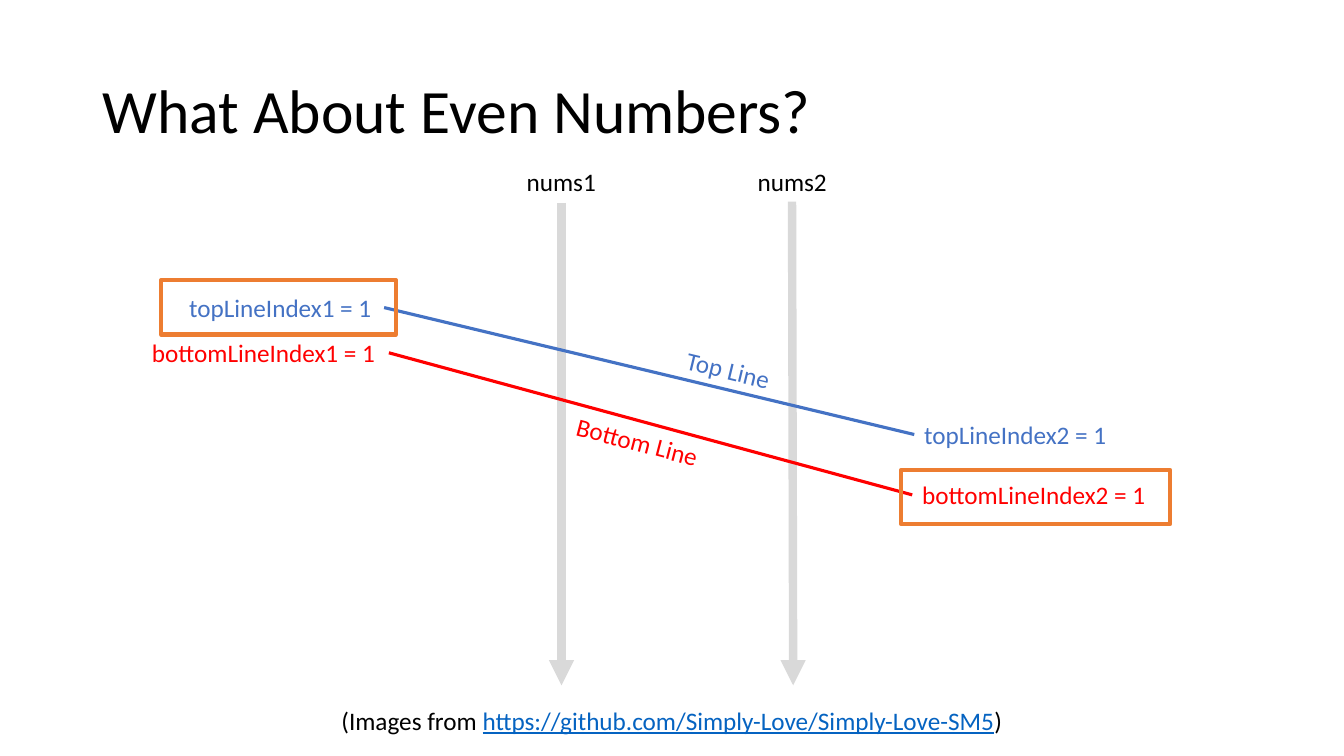
from lxml.etree import SubElement
from pptx import Presentation
from pptx.dml.color import RGBColor
from pptx.enum.shapes import MSO_CONNECTOR, MSO_SHAPE
from pptx.enum.text import MSO_ANCHOR, PP_ALIGN
from pptx.oxml.ns import qn
from pptx.util import Cm, Pt

BLACK = RGBColor(0x00, 0x00, 0x00)
GREY = RGBColor(0xD9, 0xD9, 0xD9)
BLUE = RGBColor(0x44, 0x72, 0xC4)
RED = RGBColor(0xFF, 0x00, 0x00)
ORANGE = RGBColor(0xED, 0x7D, 0x31)
LINK_BLUE = RGBColor(0x05, 0x63, 0xC1)

deck = Presentation()
deck.slide_width = Cm(33.87)
deck.slide_height = Cm(19.05)
page = deck.slides.add_slide(deck.slide_layouts[6])


def add_text(text, left, top, width, height=1.02, size=18, color=BLACK,
             align=PP_ALIGN.LEFT, anchor=MSO_ANCHOR.TOP, wrap=False,
             rotation=0, spacing=1.0, link=""):
    box = page.shapes.add_textbox(Cm(left), Cm(top), Cm(width), Cm(height))
    box.rotation = rotation
    frame = box.text_frame
    frame.word_wrap = wrap
    frame.vertical_anchor = anchor
    para = frame.paragraphs[0]
    para.alignment = align
    para.line_spacing = spacing
    parts = text.partition(link) if link else [text]
    for part in parts:
        span = para.add_run()
        span.text = part
        span.font.name = "Calibri"
        span.font.size = Pt(size)
        span.font.color.rgb = LINK_BLUE if part == link else color
        if part == link:
            span.font.underline = True


def add_line(start, end, color, weight, arrow=False):
    line = page.shapes.add_connector(
        MSO_CONNECTOR.STRAIGHT, *[Cm(value) for value in (*start, *end)])
    line.line.color.rgb = color
    line.line.width = Pt(weight)
    if arrow:
        SubElement(line.line._get_or_add_ln(), qn("a:tailEnd"), type="triangle")
    SubElement(line._element.spPr, qn("a:effectLst"))


# Title
add_text("What About Even Numbers?", 2.34, 1.02, 29.21, 3.68, size=44,
         anchor=MSO_ANCHOR.MIDDLE, wrap=True, spacing=0.9)

# Array arrows with their names
for name, label_left, start, end in [
    ("nums1", 13.0, (14.15, 5.11), (14.15, 17.27)),
    ("nums2", 18.82, (19.96, 5.08), (19.99, 17.27)),
]:
    add_line(start, end, GREY, 6, arrow=True)
    add_text(name, label_left, 4.06, 2.29, align=PP_ALIGN.CENTER)

# Dividing lines
add_line((9.68, 7.75), (23.04, 10.95), BLUE, 2.25)
add_line((9.8, 8.89), (22.99, 12.47), RED, 2.25)
add_text("Top Line", 17.04, 8.81, 2.67, color=BLUE, rotation=13.6)
add_text("Bottom Line", 14.25, 10.62, 3.68, color=RED, rotation=14.6)

# Index labels at the line ends
for text, left, top, width, color in [
    ("topLineIndex1 = 1", 4.52, 7.24, 5.16, BLUE),
    ("topLineIndex2 = 1", 23.04, 10.44, 5.16, BLUE),
    ("bottomLineIndex1 = 1", 3.58, 8.38, 6.22, RED),
    ("bottomLineIndex2 = 1", 22.99, 11.96, 6.22, RED),
]:
    add_text(text, left, top, width, color=color)

# Highlight frames
for left, top, width in [(4.06, 7.06, 5.92), (22.71, 11.84, 6.78)]:
    frame = page.shapes.add_shape(
        MSO_SHAPE.RECTANGLE, Cm(left), Cm(top), Cm(width), Cm(1.37))
    frame.shadow.inherit = False
    frame.fill.background()
    frame.line.color.rgb = ORANGE
    frame.line.width = Pt(3)

# Source credit
add_text("(Images from https://github.com/Simply-Love/Simply-Love-SM5)",
         8.23, 17.65, 17.4, align=PP_ALIGN.CENTER,
         link="https://github.com/Simply-Love/Simply-Love-SM5")

deck.save("out.pptx")
